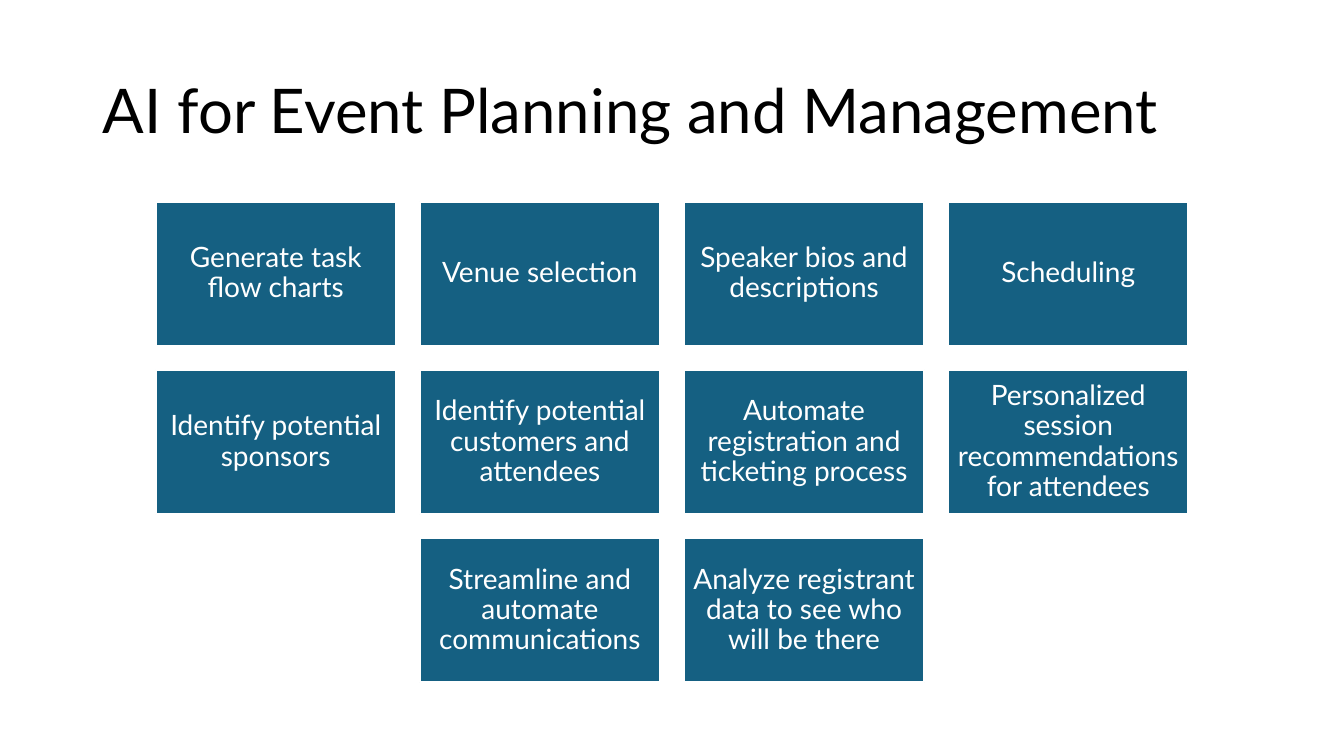
from dataclasses import dataclass
from typing import Any

from pptx import Presentation
from pptx.dml.color import RGBColor as Rgb
from pptx.enum.shapes import MSO_SHAPE as Shape
from pptx.enum.text import MSO_ANCHOR as Anchor, MSO_AUTO_SIZE as Fit, PP_ALIGN as Align
from pptx.util import Inches, Pt

COLORS = {"ink": "000000", "tile": "156082", "paper": "FFFFFF"}
FONT = "Lato"
WIDE, HIGH = Inches(13.33), Inches(7.5)


@dataclass(frozen=True)
class Grid:
    top: int
    width: int
    height: int
    gap: int

    def place(self, row: int, col: int, count: int) -> tuple[int, int, int, int]:
        span = count * self.width + (count - 1) * self.gap
        left = (WIDE - span) // 2 + col * (self.width + self.gap)
        top = self.top + row * (self.height + self.gap)
        return left, top, self.width, self.height


@dataclass(frozen=True)
class Tile:
    text: str
    row: int
    col: int
    count: int


GRID = Grid(Inches(2), Inches(2.38), Inches(1.43), Inches(0.24))
ROWS = [
    ["Generate task flow charts", "Venue selection",
     "Speaker bios and descriptions", "Scheduling"],
    ["Identify potential sponsors", "Identify potential customers and attendees",
     "Automate registration and ticketing process",
     "Personalized session recommendations for attendees"],
    ["Streamline and automate communications",
     "Analyze registrant data to see who will be there"],
]
TILES = [Tile(text, row, col, len(texts))
         for row, texts in enumerate(ROWS) for col, text in enumerate(texts)]
PAD = {f"margin_{side}": Inches(0.08) for side in ("left", "top", "right", "bottom")}
FRAME = {"word_wrap": True, "auto_size": Fit.NONE, "vertical_anchor": Anchor.MIDDLE}


def apply(item: Any, values: dict[str, Any]) -> None:
    for name, value in values.items():
        setattr(item, name, value)


def tint(name: str) -> Rgb:
    return Rgb.from_string(COLORS[name])


def write(shape: Any, text: str, size: int, color: str, align: Align,
          extra: dict[str, Any]) -> None:
    frame = shape.text_frame
    frame.text = text
    apply(frame, FRAME | extra)
    para = frame.paragraphs[0]
    apply(para, {"alignment": align, "line_spacing": 0.9})
    apply(para.font, {"name": FONT, "size": Pt(size)})
    para.font.color.rgb = tint(color)


def draw(slide: Any, tile: Tile) -> None:
    box = slide.shapes.add_shape(
        Shape.RECTANGLE, *GRID.place(tile.row, tile.col, tile.count))
    box.shadow.inherit = False
    box.fill.solid()
    box.fill.fore_color.rgb = tint("tile")
    box.line.color.rgb = tint("paper")
    box.line.width = Pt(1.5)
    write(box, tile.text, 20, "paper", Align.CENTER, PAD)


def main() -> None:
    deck = Presentation()
    apply(deck, {"slide_width": WIDE, "slide_height": HIGH})
    slide = deck.slides.add_slide(deck.slide_layouts[5])
    title = slide.shapes.title
    apply(title, {"left": Inches(0.92), "top": Inches(0.4),
                  "width": Inches(11.5), "height": Inches(1.45)})
    write(title, "AI for Event Planning and Management", 44, "ink", Align.LEFT, {})
    for tile in TILES:
        draw(slide, tile)
    deck.save("out.pptx")


if __name__ == "__main__":
    main()
